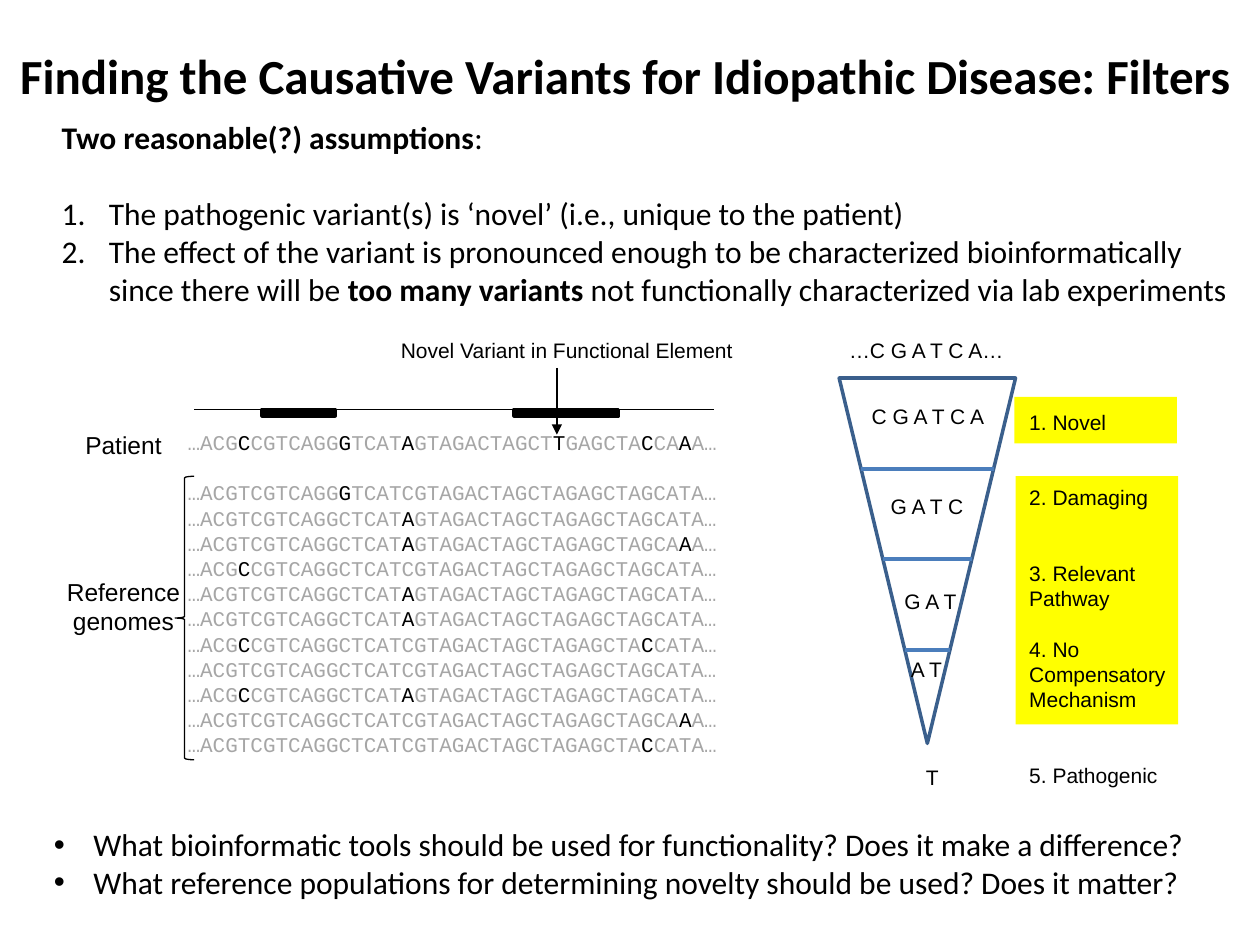
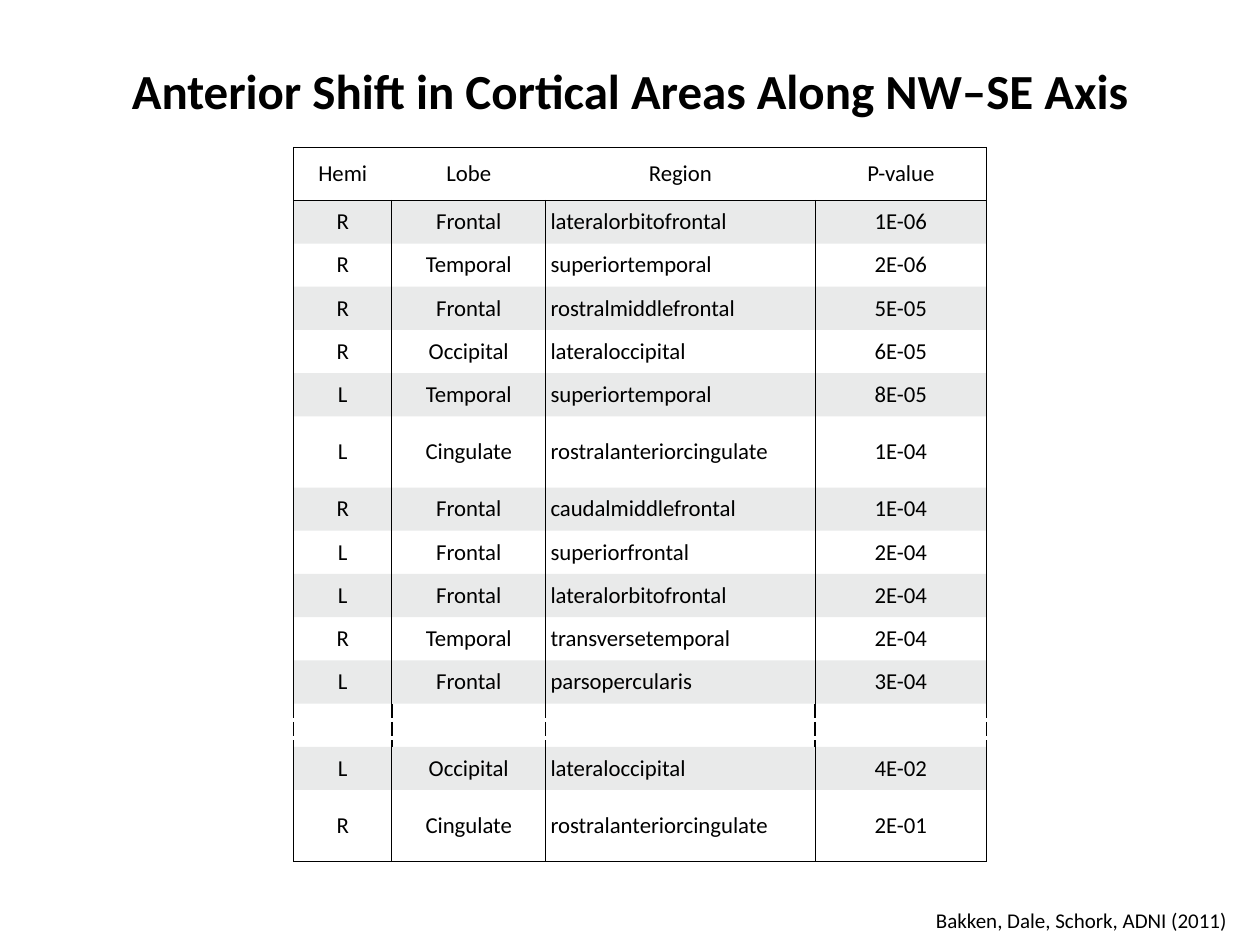
from dataclasses import dataclass
from itertools import groupby

from lxml import etree
from pptx import Presentation
from pptx import util as u
from pptx.dml.color import RGBColor
from pptx.enum import shapes, text
from pptx.oxml import ns

COLUMNS, ROWS = 100, 75
LEFT, CENTER = text.PP_ALIGN.LEFT, text.PP_ALIGN.CENTER


@dataclass(frozen=True)
class Theme:
    ink: str = "000000"
    muted: str = "A6A6A6"
    highlight: str = "FFFF00"
    funnel: str = "3A5F8C"
    divider: str = "4B7EBC"
    band: str = "B8BABC"
    band_alpha: int = 30000
    body_font: str = "Calibri"
    label_font: str = "Arial"
    code_font: str = "Courier New"
    title: int = 28
    body: int = 18
    side: int = 14
    label: int = 12
    cell: int = 13
    hairline: float = 0.75


@dataclass
class Para:
    """Runs are (text, bold, colour); gap is the space before, in lines."""
    runs: list
    gap: float = 0
    bullet: str = ""
    indent: float = 0


def plain(words, **options):
    return Para([(words, False, None)], **options)


def add_xml(parent, tag, **attributes):
    return etree.SubElement(parent, ns.qn(tag), attributes)


class Deck:
    def __init__(self, theme):
        self.theme = theme
        self.prs = Presentation()
        self.prs.slide_width, self.prs.slide_height = u.Inches(10), u.Inches(7.5)
        self.slide = None

    def col(self, count):
        return round(self.prs.slide_width * count / COLUMNS)

    def row(self, count):
        return round(self.prs.slide_height * count / ROWS)

    def box(self, left, top, width, height):
        return self.col(left), self.row(top), self.col(width), self.row(height)

    def add_run(self, paragraph, words, size, font, bold=False, color=None):
        run = paragraph.add_run()
        run.text = words
        run.font.size, run.font.name, run.font.bold = u.Pt(size), font, bold
        run.font.color.rgb = RGBColor.from_string(color or self.theme.ink)

    def new_slide(self, title, at, align):
        self.slide = self.prs.slides.add_slide(self.prs.slide_layouts[5])
        heading = self.slide.shapes.title
        heading.left, heading.top, heading.width, heading.height = self.box(*at)
        frame = heading.text_frame
        frame.auto_size = text.MSO_AUTO_SIZE.NONE
        frame.vertical_anchor = text.MSO_ANCHOR.MIDDLE
        frame.paragraphs[0].alignment = align
        self.add_run(frame.paragraphs[0], title, self.theme.title,
                     self.theme.body_font, bold=True)

    def text(self, at, paras, size, font, align=LEFT, wrap=False, leading=None):
        frame = self.slide.shapes.add_textbox(*self.box(*at)).text_frame
        frame.word_wrap = wrap
        for number, para in enumerate(paras):
            paragraph = frame.add_paragraph() if number else frame.paragraphs[0]
            paragraph.alignment = align
            if para.gap:
                paragraph.space_before = u.Pt(para.gap * size * 1.2)
            if leading:
                paragraph.line_spacing = u.Pt(size * leading)
            if para.bullet:
                self.bullet(paragraph, para)
            for words, bold, color in para.runs:
                self.add_run(paragraph, words, size, font, bold, color)

    def bullet(self, paragraph, para):
        props = paragraph._p.get_or_add_pPr()
        props.set("marL", str(self.col(para.indent)))
        props.set("indent", str(-self.col(para.indent)))
        if para.bullet == "1.":
            add_xml(props, "a:buFont", typeface="+mj-lt")
            add_xml(props, "a:buAutoNum", type="arabicPeriod")
        else:
            add_xml(props, "a:buFont", typeface=self.theme.label_font)
            add_xml(props, "a:buChar", char=para.bullet)

    def label(self, at, words, **options):
        self.text(at, [plain(words)], self.theme.label, self.theme.label_font,
                  leading=1.2, **options)

    def shape(self, kind, at, fill=None, line=None, weight=2):
        shape = self.slide.shapes.add_shape(kind, *self.box(*at))
        shape.shadow.inherit = False
        for paint, color in ((shape.fill, fill), (shape.line.fill, line)):
            if color:
                paint.solid()
                paint.fore_color.rgb = RGBColor.from_string(color)
            else:
                paint.background()
        if line:
            shape.line.width = u.Pt(weight)
        return shape

    def line(self, start, end, color, weight, arrow=False):
        ends = [size(n) for point in (start, end)
                for size, n in zip((self.col, self.row), point)]
        connector = self.slide.shapes.add_connector(
            shapes.MSO_CONNECTOR.STRAIGHT, *ends)
        connector.line.color.rgb = RGBColor.from_string(color)
        connector.line.width = u.Pt(weight)
        if arrow:
            add_xml(connector.line._get_or_add_ln(), "a:tailEnd", type="triangle")
        add_xml(connector._element.spPr, "a:effectLst")

    def table(self, at, widths, heights, records):
        """Draw a header and banded rows; a record of None is a dashed break."""
        table = self.slide.shapes.add_table(
            len(records), len(widths), *self.box(*at)).table
        table.first_row = table.horz_banding = False
        for column, width in zip(table.columns, widths):
            column.width = self.col(width)
        for row, height in zip(table.rows, heights):
            row.height = self.row(height)
        last_row, last_column = len(records) - 1, len(widths) - 1
        for r, record in enumerate(records):
            for c in range(len(widths)):
                cell = table.cell(r, c)
                self.cell(cell, record[c] if record else None,
                          LEFT if r and c == 2 else CENTER, banded=r % 2)
                edges = {"L": r or c == 0, "R": r or c == last_column,
                         "T": r < 2, "B": r in (0, last_row)}
                self.borders(cell, edges, dashed=record is None)

    def cell(self, cell, words, align, banded):
        cell.vertical_anchor = text.MSO_ANCHOR.MIDDLE
        cell.margin_left = cell.margin_right = self.col(0.4)
        cell.margin_top = cell.margin_bottom = self.row(0.4)
        paragraph = cell.text_frame.paragraphs[0]
        paragraph.alignment = align
        if words:
            self.add_run(paragraph, words, self.theme.cell, self.theme.body_font)
        else:
            add_xml(paragraph._p, "a:endParaRPr", sz=str(self.theme.cell * 100))
        if banded:
            cell.fill.solid()
            cell.fill.fore_color.rgb = RGBColor.from_string(self.theme.band)
            tint = cell._tc.tcPr.find(".//" + ns.qn("a:srgbClr"))
            add_xml(tint, "a:alpha", val=str(self.theme.band_alpha))
        else:
            cell.fill.background()

    def borders(self, cell, edges, dashed):
        props = cell._tc.get_or_add_tcPr()
        weight = 1 if dashed else self.theme.hairline
        for place, (side, drawn) in enumerate(edges.items()):
            edge = add_xml(props, "a:ln" + side, w=str(u.Pt(weight)))
            props.insert(place, edge)
            if not drawn:
                add_xml(edge, "a:noFill")
                continue
            add_xml(add_xml(edge, "a:solidFill"), "a:srgbClr", val=self.theme.ink)
            if dashed:
                add_xml(edge, "a:prstDash", val="lgDash")


REFERENCE = "ACGTCGTCAGGCTCATCGTAGACTAGCTAGAGCTAGCATA"
VARIANTS = {3: "C", 11: "G", 16: "A", 28: "T", 35: "C", 38: "A"}
GENOMES = [(11,), (16,), (16, 38), (3,), (16,), (16,), (3, 35), (), (3, 16),
           (38,), (35,)]


def sequence(theme, sites, gap=0):
    """Spell the reference with variants at the sites, which stand out in ink."""
    bases = [("…", theme.muted)]
    bases += [(VARIANTS[i], theme.ink) if i in sites else (base, theme.muted)
              for i, base in enumerate(REFERENCE)]
    bases.append(("…", theme.muted))
    return Para([("".join(base for base, _ in group), False, color)
                 for color, group in groupby(bases, key=lambda b: b[1])], gap=gap)


def draw_alignment(deck):
    theme = deck.theme
    reads = [sequence(theme, VARIANTS)]
    reads += [sequence(theme, sites, gap=0 if n else 1)
              for n, sites in enumerate(GENOMES)]
    deck.text((13.9, 33.6, 44.7, 27.3), reads, theme.label, theme.code_font,
              leading=1.2)
    deck.line((44.2, 29.2), (44.2, 34.5), theme.ink, theme.hairline, arrow=True)
    deck.label((30, 26.3, 30, 3), "Novel Variant in Functional Element",
               align=CENTER, wrap=True)
    deck.line((15.4, 32.5), (56.7, 32.5), theme.ink, theme.hairline)
    for left, width in ((20.8, 5.8), (40.8, 8.3)):
        deck.shape(shapes.MSO_SHAPE.RECTANGLE, (left, 32.5, width, 0.5),
                   fill=theme.ink, line=theme.ink)
    deck.text((3.9, 33.6, 11.8, 17.5),
              [plain("Patient"), plain("Reference", gap=4), plain("genomes")],
              theme.side, theme.label_font, align=CENTER, wrap=True, leading=1.2)
    deck.shape(shapes.MSO_SHAPE.LEFT_BRACE, (13.9, 37.8, 1.5, 22.5),
               line=theme.ink, weight=theme.hairline)


def draw_funnel(deck):
    theme = deck.theme
    left, top, width, height, step = 66.6, 30, 14, 29, 7.2
    funnel = deck.shape(shapes.MSO_SHAPE.ISOSCELES_TRIANGLE,
                        (left, top, width, height), line=theme.funnel)
    funnel.rotation = 180
    for level in (1, 2, 3):
        depth = level * step
        inset = width / 2 * depth / height
        deck.line((left + inset, top + depth), (left + width - inset, top + depth),
                  theme.divider, 2.25)
    for bases, start, row, span in (
            ("…C G A T C A…", 66.4, 26.3, 14.4), ("C G A T C A", 68.2, 31.5, 11.1),
            ("G A T C", 69.7, 38.7, 7.9), ("G A T", 70.8, 46.2, 6.2),
            ("A T", 71.3, 51.6, 4.5), ("T", 72.5, 60.2, 3.1)):
        deck.label((start, row, span, 3), bases)
    filters = [plain("1. Novel"), plain("2. Damaging", gap=2),
               plain("3. Relevant", gap=2), plain("Pathway"),
               plain("4. No", gap=1), plain("Compensatory"), plain("Mechanism"),
               plain("5. Pathogenic", gap=2)]
    deck.text((80.7, 32, 12.9, 31.3), filters, theme.label, theme.label_font,
              leading=1.2)


def filters_slide(deck):
    theme = deck.theme
    deck.new_slide("Finding the Causative Variants for Idiopathic Disease: Filters",
                   (0.6, 3.1, 99.2, 5.7), LEFT)
    for at in ((80.5, 31.5, 12.9, 3.7), (80.6, 37.8, 12.9, 19.7)):
        deck.shape(shapes.MSO_SHAPE.RECTANGLE, at, fill=theme.highlight)
    draw_alignment(deck)
    draw_funnel(deck)
    numbered = {"bullet": "1.", "indent": 3.75}
    deck.text((3.9, 8.9, 95.9, 16.2), [
        Para([("Two reasonable(?) assumptions", True, None), (":", False, None)]),
        plain("The pathogenic variant(s) is ‘novel’ (i.e., unique to the patient)",
              gap=1, **numbered),
        Para([("The effect of the variant is pronounced enough to be characterized "
               "bioinformatically since there will be ", False, None),
              ("too many variants ", True, None),
              ("not functionally characterized via lab experiments", False, None)],
             **numbered)], theme.body, theme.body_font, wrap=True)
    questions = (
        "What bioinformatic tools should be used for functionality? "
        "Does it make a difference?",
        "What reference populations for determining novelty should be used? "
        "Does it matter?")
    deck.text((3.3, 65, 92.5, 7.1),
              [plain(question, bullet="•", indent=3.13) for question in questions],
              theme.body, theme.body_font)


REGIONS = [
    ("Hemi", "Lobe", "Region", "P-value"),
    ("R", "Frontal", "lateralorbitofrontal", "1E-06"),
    ("R", "Temporal", "superiortemporal", "2E-06"),
    ("R", "Frontal", "rostralmiddlefrontal", "5E-05"),
    ("R", "Occipital", "lateraloccipital", "6E-05"),
    ("L", "Temporal", "superiortemporal", "8E-05"),
    ("L", "Cingulate", "rostralanteriorcingulate", "1E-04"),
    ("R", "Frontal", "caudalmiddlefrontal", "1E-04"),
    ("L", "Frontal", "superiorfrontal", "2E-04"),
    ("L", "Frontal", "lateralorbitofrontal", "2E-04"),
    ("R", "Temporal", "transversetemporal", "2E-04"),
    ("L", "Frontal", "parsopercularis", "3E-04"),
    None,
    ("L", "Occipital", "lateraloccipital", "4E-02"),
    ("R", "Cingulate", "rostralanteriorcingulate", "2E-01"),
]


def regions_slide(deck):
    theme = deck.theme
    deck.new_slide("Anterior Shift in Cortical Areas Along NW–SE Axis",
                   (0, 4.2, 100, 5.8), CENTER)
    heights = [4.2] + [5.65 if record and record[1] == "Cingulate" else 3.43
                       for record in REGIONS[1:]]
    deck.table((23.3, 11.7, 55, sum(heights)), (7.8, 12.2, 21.4, 13.6), heights,
               REGIONS)
    deck.text((73.3, 71.5, 25.8, 3), [plain("Bakken, Dale, Schork, ADNI (2011)")],
              theme.label, theme.body_font, wrap=True)


def main():
    deck = Deck(Theme())
    filters_slide(deck)
    regions_slide(deck)
    deck.prs.save("out.pptx")


if __name__ == "__main__":
    main()
